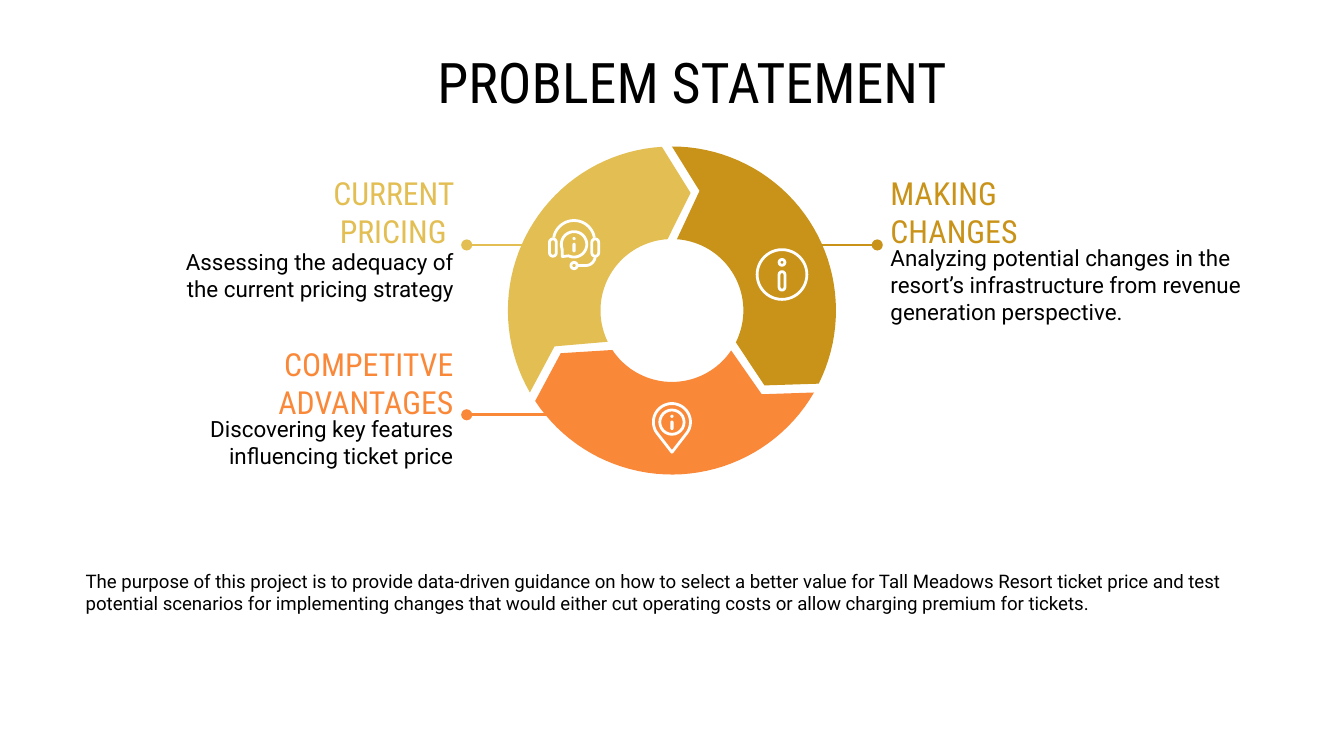
import math
from dataclasses import dataclass

from lxml import etree
from pptx import Presentation
from pptx import util as u
from pptx.dml.color import RGBColor
from pptx.enum import shapes, text
from pptx.oxml.ns import qn

Point = tuple[float, float]
Box = tuple[float, float, float, float]

COLOURS = {
    "black": "000000",
    "white": "FFFFFF",
    "sand": "E2BE53",
    "ochre": "C99319",
    "orange": "FA8839",
}
HEADING_FONT, BODY_FONT = "Roboto Condensed", "Roboto"
LEFT, CENTRE, RIGHT = text.PP_ALIGN.LEFT, text.PP_ALIGN.CENTER, text.PP_ALIGN.RIGHT
TOP, MIDDLE = text.MSO_ANCHOR.TOP, text.MSO_ANCHOR.MIDDLE
OVAL, PILL = shapes.MSO_SHAPE.OVAL, shapes.MSO_SHAPE.ROUNDED_RECTANGLE

RING_CENTRE = (12.7, 5.87)
OUTER_RADIUS, INNER_RADIUS = 3.1, 1.35
STROKE = u.Pt(1.5)


@dataclass
class Topic:
    colour: str
    heading: str
    heading_box: Box
    body: str
    body_box: Box
    align: text.PP_ALIGN
    turn: float
    pointer_start: Point
    pointer_end_x: float


TOPICS = [
    Topic("sand", "CURRENT PRICING ", (6.05, 3.4, 2.78, 1.2),
          "Assessing the adequacy of the current pricing strategy", (3.22, 4.45, 5.61, 1.98),
          RIGHT, 240, (8.82, 4.63), 10),
    Topic("ochre", "MAKING CHANGES", (16.58, 3.4, 3.03, 1.2),
          "Analyzing potential changes in the resort’s infrastructure from revenue "
          "generation perspective.", (16.58, 4.37, 7.85, 2.49),
          LEFT, 0, (16.58, 4.63), 15.44),
    Topic("orange", "COMPETITVE ADVANTAGES", (3.77, 6.64, 5.05, 1.2),
          "Discovering key features influencing ticket price", (3.58, 7.6, 5.24, 1.48),
          RIGHT, 120, (8.82, 7.84), 10.97),
]


def rgb(name: str) -> RGBColor:
    return RGBColor.from_string(COLOURS[name])


def polar(centre: Point, radius: float, angle: float) -> Point:
    """Point at an angle in degrees, clockwise from the top."""
    radians = math.radians(angle)
    return centre[0] + radius * math.sin(radians), centre[1] - radius * math.cos(radians)


def arc(centre: Point, radius: float, start: float, end: float) -> list[Point]:
    steps = max(8, round(abs(end - start) / 3))
    return [polar(centre, radius, start + (end - start) * i / steps) for i in range(steps + 1)]


def paint(shape, fill: str | None = None, line: str | None = None) -> None:
    shape.shadow.inherit = False
    if fill:
        shape.fill.solid()
        shape.fill.fore_color.rgb = rgb(fill)
    else:
        shape.fill.background()
    if line:
        shape.line.color.rgb = rgb(line)
        shape.line.width = STROKE
    else:
        shape.line.fill.background()


def add_outline(slide, points: list[Point], closed: bool = True,
                fill: str | None = None, line: str | None = None) -> None:
    start, *rest = [(u.Cm(x), u.Cm(y)) for x, y in points]
    builder = slide.shapes.build_freeform(*start)
    builder.add_line_segments(rest, close=closed)
    paint(builder.convert_to_shape(), fill, line)


def add_centred(slide, preset, centre: Point, width: float, height: float,
                fill: str | None = None, line: str | None = "white") -> None:
    shape = slide.shapes.add_shape(
        preset, u.Cm(centre[0] - width / 2), u.Cm(centre[1] - height / 2),
        u.Cm(width), u.Cm(height))
    if preset == PILL:
        shape.adjustments[0] = 0.5
    paint(shape, fill, line)


def add_text(slide, content: str, box: Box, font: str, size: float, colour: str = "black",
             align=LEFT, anchor=TOP, inset: float = 0.25) -> None:
    frame = slide.shapes.add_textbox(*map(u.Cm, box)).text_frame
    frame_format = {"word_wrap": True, "vertical_anchor": anchor,
                    "margin_top": u.Cm(inset), "margin_bottom": u.Cm(inset),
                    "margin_left": u.Cm(0.25), "margin_right": u.Cm(0.25)}
    for name, value in frame_format.items():
        setattr(frame, name, value)
    paragraph = frame.paragraphs[0]
    paragraph.alignment = align
    run = paragraph.add_run()
    run.text = content
    for name, value in {"name": font, "size": u.Pt(size)}.items():
        setattr(run.font, name, value)
    run.font.color.rgb = rgb(colour)


def add_segment(slide, topic: Topic) -> None:
    """One arrow of the ring: notched at its start, pointed at its end."""
    turn = topic.turn
    points = [
        *arc(RING_CENTRE, OUTER_RADIUS, turn, turn + 116.5),
        polar(RING_CENTRE, 2.25, turn + 129),
        *arc(RING_CENTRE, INNER_RADIUS, turn + 116.5, turn + 4),
        polar(RING_CENTRE, 2.32, turn + 13),
    ]
    add_outline(slide, points, fill=topic.colour)


def add_pointer(slide, topic: Topic) -> None:
    x, y = topic.pointer_start
    connector = slide.shapes.add_connector(
        shapes.MSO_CONNECTOR.STRAIGHT, u.Cm(x), u.Cm(y), u.Cm(topic.pointer_end_x), u.Cm(y))
    connector.line.color.rgb = rgb(topic.colour)
    connector.line.width = STROKE
    properties = connector._element.spPr
    etree.SubElement(properties.find(qn("a:ln")), qn("a:headEnd"), type="oval")
    etree.SubElement(properties, qn("a:effectLst"))


def add_small_i(slide, centre: Point) -> None:
    x, y = centre
    add_centred(slide, OVAL, (x, y - 0.11), 0.06, 0.06, "white", None)
    add_centred(slide, PILL, (x, y + 0.06), 0.06, 0.18, "white", None)


def add_headset_icon(slide, centre: Point) -> None:
    x, y = centre
    add_outline(slide, arc((x, y - 0.06), 0.39, -80, 80), closed=False, line="white")
    for side in (-1, 1):
        add_centred(slide, PILL, (x + side * 0.4, y + 0.06), 0.13, 0.33)
    add_centred(slide, OVAL, (x, y + 0.4), 0.12, 0.12)
    boom = [(x + 0.06, y + 0.4), *arc((x + 0.22, y + 0.22), 0.18, 180, 90)]
    add_outline(slide, boom, closed=False, line="white")
    bubble = [*arc(centre, 0.24, 250, 565), (x - 0.22, y + 0.23)]
    add_outline(slide, bubble, line="white")
    add_small_i(slide, centre)


def add_info_icon(slide, centre: Point) -> None:
    x, y = centre
    add_centred(slide, OVAL, centre, 0.94, 0.94)
    add_centred(slide, OVAL, (x, y - 0.23), 0.11, 0.11)
    add_centred(slide, PILL, (x, y + 0.12), 0.11, 0.35)


def add_pin_icon(slide, centre: Point) -> None:
    x, y = centre
    add_outline(slide, [*arc(centre, 0.35, 235, 485), (x, y + 0.57)], line="white")
    add_centred(slide, OVAL, centre, 0.46, 0.46)
    add_small_i(slide, centre)


def main() -> None:
    presentation = Presentation()
    presentation.slide_width, presentation.slide_height = u.Cm(25.4), u.Cm(14.29)
    slide = presentation.slides.add_slide(presentation.slide_layouts[6])

    add_text(slide, "PROBLEM STATEMENT", (3.58, 1.02, 19, 1.04), HEADING_FONT, 30,
             align=CENTRE, anchor=MIDDLE)
    for topic in TOPICS:
        add_pointer(slide, topic)
        add_segment(slide, topic)
        add_text(slide, topic.heading, topic.heading_box, HEADING_FONT, 17, topic.colour,
                 topic.align, MIDDLE)
        add_text(slide, topic.body, topic.body_box, BODY_FONT, 12, align=topic.align)
    add_headset_icon(slide, (10.85, 4.62))
    add_info_icon(slide, (14.78, 5.19))
    add_pin_icon(slide, (12.7, 7.98))
    add_text(slide, "The purpose of this project is to provide data-driven guidance on how to "
             "select a better value for Tall Meadows Resort ticket price and test potential "
             "scenarios for implementing changes that would either cut operating costs or "
             "allow charging premium for tickets.",
             (1.37, 10.64, 23.19, 1.12), BODY_FONT, 10, inset=0.13)

    presentation.save("out.pptx")


if __name__ == "__main__":
    main()
